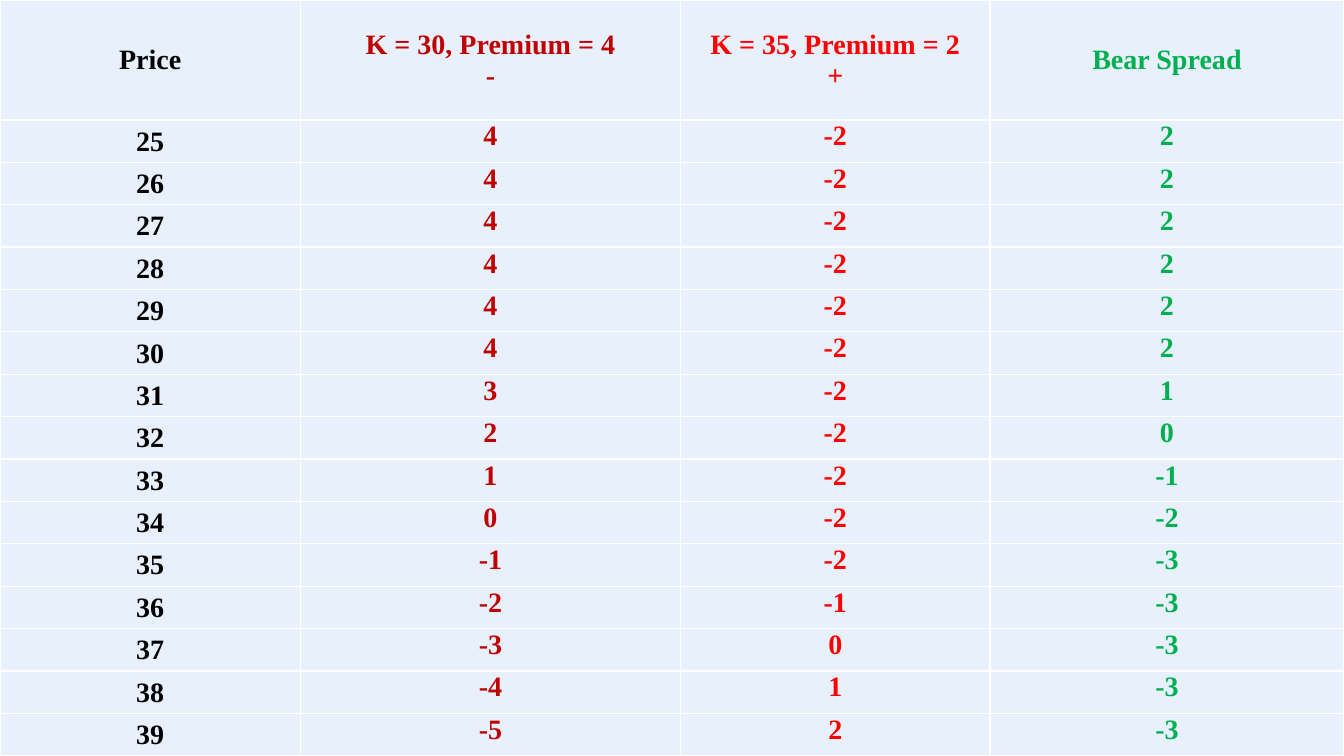
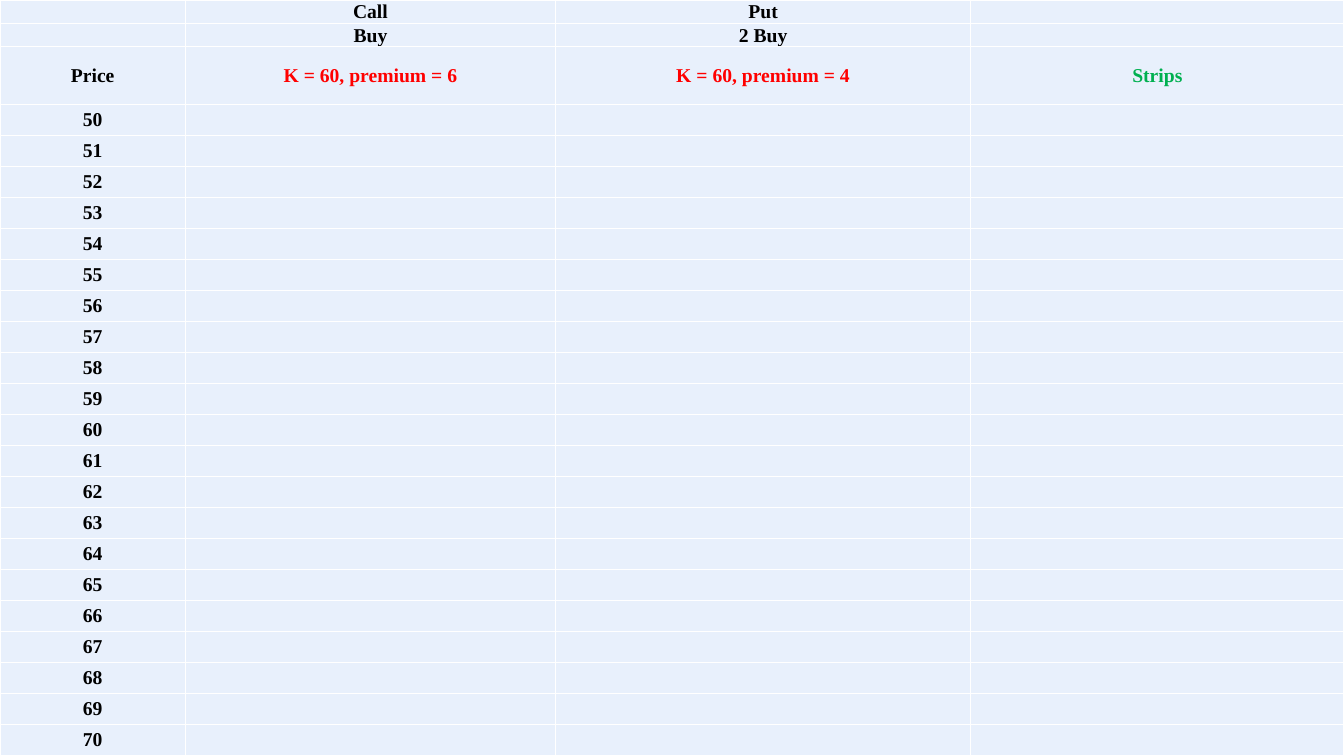
from lxml import etree
from pptx import Presentation
from pptx import util as u
from pptx.dml.color import RGBColor
from pptx.enum import text
from pptx.oxml import ns

SLIDE_WIDTH, SLIDE_HEIGHT = 13.33, 7.5
FONT = "Times New Roman"
BLACK, WHITE, GREY = "000000", "FFFFFF", "B9B9B9"
DARK_RED, RED, GREEN = "C00000", "FF0000", "00B050"
CELL_FILL = "E8F0FC"
TOP, MIDDLE, BOTTOM = (
    text.MSO_ANCHOR.TOP, text.MSO_ANCHOR.MIDDLE, text.MSO_ANCHOR.BOTTOM)


def color(value):
    return RGBColor.from_string(value)


def add_slide(presentation):
    slide = presentation.slides.add_slide(presentation.slide_layouts[6])
    fill = slide.background.fill
    fill.gradient()
    fill.gradient_angle = 270
    for stop, value in zip(fill.gradient_stops, (WHITE, GREY)):
        stop.color.rgb = color(value)
    return slide


def style_cell(cell, inset):
    properties = cell._tc.get_or_add_tcPr()
    for side in ("L", "R", "T", "B"):
        line = etree.SubElement(properties, ns.qn(f"a:ln{side}"), w=str(u.Pt(1)))
        solid = etree.SubElement(line, ns.qn("a:solidFill"))
        etree.SubElement(solid, ns.qn("a:srgbClr"), val=WHITE)
    cell.fill.solid()
    cell.fill.fore_color.rgb = color(CELL_FILL)
    cell.margin_left = cell.margin_right = cell.margin_top = u.Inches(inset)
    cell.margin_bottom = 0


def write_cell(cell, content, size, ink=BLACK, anchor=MIDDLE):
    cell.text = content
    cell.vertical_anchor = anchor
    for paragraph in cell.text_frame.paragraphs:
        paragraph.alignment = text.PP_ALIGN.CENTER
        for run in paragraph.runs:
            run.font.name = FONT
            run.font.size = u.Pt(size)
            run.font.bold = True
            run.font.color.rgb = color(ink)
        if not paragraph.runs:
            ending = etree.SubElement(
                paragraph._p, ns.qn("a:endParaRPr"), sz=str(size * 100))
            etree.SubElement(ending, ns.qn("a:latin"), typeface=FONT)


def add_payoff_table(slide, box, widths, heights, rows, size, inset):
    left, top, width, height = (u.Inches(value) for value in box)
    frame = slide.shapes.add_table(len(heights), len(widths), left, top, width, height)
    table = frame.table
    table.first_row = table.horz_banding = False
    for column, value in zip(table.columns, widths):
        column.width = u.Inches(value)
    for row, value, entries in zip(table.rows, heights, rows):
        row.height = u.Inches(value)
        for cell, (content, ink, anchor) in zip(row.cells, entries):
            style_cell(cell, inset)
            write_cell(cell, content, size, ink=ink, anchor=anchor)


def fill_heights(headers, count):
    return headers + [(SLIDE_HEIGHT - sum(headers)) / count] * count


def make_row(contents, inks, anchors):
    return list(zip(contents, inks, anchors))


def bear_spread_slide(presentation, box):
    inks = (BLACK, DARK_RED, RED, GREEN)
    titles = ("Price", "K = 30, Premium = 4\n-", "K = 35, Premium = 2\n+", "Bear Spread")
    rows = [make_row(titles, inks, [MIDDLE] * 4)]
    prices = range(25, 40)
    for price in prices:
        short_call = 4 - max(0, price - 30)
        long_call = max(0, price - 35) - 2
        values = (price, short_call, long_call, short_call + long_call)
        rows.append(make_row(map(str, values), inks, (MIDDLE, TOP, TOP, TOP)))
    add_payoff_table(
        add_slide(presentation), box, (2.98, 3.77, 3.07, 3.51),
        fill_heights([1.19], len(prices)), rows, size=20, inset=0.01)


def strips_slide(presentation, box):
    rows = [make_row(titles, [BLACK] * 4, [BOTTOM] * 4)
            for titles in (("", "Call", "Put", ""), ("", "Buy", "2 Buy", ""))]
    titles = ("Price", "K = 60, premium = 6", "K = 60, premium = 4", "Strips")
    rows.append(make_row(titles, (BLACK, RED, RED, GREEN), [MIDDLE] * 4))
    prices = range(50, 71)
    rows += [make_row((str(price), "", "", ""), [BLACK] * 4, [MIDDLE] * 4)
             for price in prices]
    add_payoff_table(
        add_slide(presentation), box, (1.84, 3.67, 4.12, 3.7),
        fill_heights([0.23, 0.23, 0.58], len(prices)), rows, size=14, inset=0)


def main():
    presentation = Presentation()
    presentation.slide_width = u.Inches(SLIDE_WIDTH)
    presentation.slide_height = u.Inches(SLIDE_HEIGHT)
    box = (0, 0, SLIDE_WIDTH, SLIDE_HEIGHT)
    bear_spread_slide(presentation, box)
    strips_slide(presentation, box)
    presentation.save("out.pptx")


if __name__ == "__main__":
    main()
